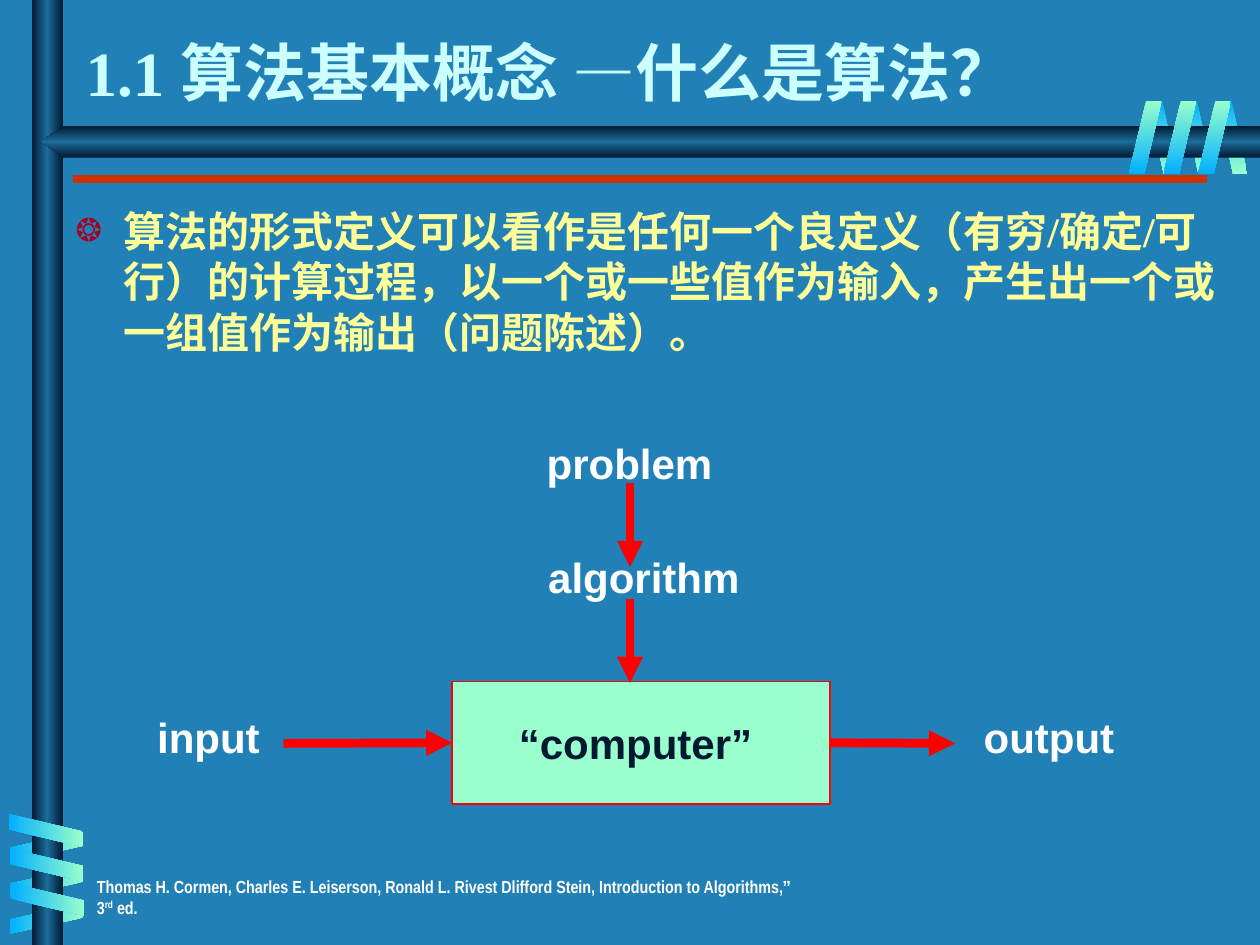
from lxml.etree import SubElement
from pptx import Presentation
from pptx.dml.color import RGBColor
from pptx.enum.shapes import MSO_CONNECTOR, MSO_SHAPE
from pptx.enum.text import MSO_ANCHOR, MSO_AUTO_SIZE, PP_ALIGN
from pptx.oxml.ns import qn
from pptx.util import Inches, Pt

BACKGROUND = RGBColor(0x21, 0x81, 0xB7)
NAVY = RGBColor(0x00, 0x19, 0x32)
STEEL = RGBColor(0x1C, 0x6D, 0x9A)
AZURE = RGBColor(0x01, 0xB0, 0xFF)
MINT = RGBColor(0x99, 0xFF, 0xCC)
RUST = RGBColor(0xCC, 0x33, 0x00)
RED = RGBColor(0xFF, 0x00, 0x00)
CRIMSON = RGBColor(0xA5, 0x00, 0x21)
WHITE = RGBColor(0xFF, 0xFF, 0xFF)
PALE_CYAN = RGBColor(0xCC, 0xFF, 0xFF)
PALE_YELLOW = RGBColor(0xFF, 0xFF, 0x99)

SERIF, SANS, NARROW = "Times New Roman", "Arial", "Arial Narrow"
METAL = (NAVY, STEEL, NAVY)


class SlideBuilder:
    """Holds the slide and the formats shared by its elements."""

    label_format = {"name": SANS, "size": Pt(24), "bold": True}

    def __init__(self, slide):
        self.slide = slide
        self.shapes = slide.shapes

    def place(self, shape, box):
        for side, length in zip(("left", "top", "width", "height"), box):
            setattr(shape, side, Inches(length))

    def add_runs(self, paragraph, runs, color, **changes):
        """Add (text, font name) runs to a paragraph; return the last run."""
        for text, font_name in runs:
            run = paragraph.add_run()
            run.text = text
            formats = {**self.label_format, **changes, "name": font_name}
            for key, value in formats.items():
                setattr(run.font, key, value)
            run.font.color.rgb = color
        return run

    def placeholder(self, holder, box, anchor, runs, color, size):
        self.place(holder, box)
        frame = holder.text_frame
        frame.auto_size = MSO_AUTO_SIZE.NONE
        frame.vertical_anchor = anchor
        paragraph = frame.paragraphs[0]
        paragraph.alignment = PP_ALIGN.LEFT
        self.add_runs(paragraph, runs, color, size=Pt(size))
        return paragraph

    def bullet(self, paragraph, char, color, percent):
        properties = paragraph._p.get_or_add_pPr()
        properties.set("marL", str(Inches(0.38)))
        properties.set("indent", str(-Inches(0.38)))
        bullet_color = SubElement(properties, qn("a:buClr"))
        SubElement(bullet_color, qn("a:srgbClr"), val=str(color))
        SubElement(properties, qn("a:buSzPct"), val=str(percent * 1000))
        SubElement(properties, qn("a:buChar"), char=char)

    def shape(self, kind, box):
        shape = self.shapes.add_shape(kind, *map(Inches, box))
        shape.shadow.inherit = False
        shape.line.fill.background()
        return shape

    def gradient_shape(self, kind, box, colors, angle, adjust=None,
                       rotation=0, flip=False):
        shape = self.shape(kind, box)
        shape.rotation = rotation
        if adjust is not None:
            shape.adjustments[0] = adjust
        properties = shape._element.spPr
        if flip:
            properties.xfrm.set("flipH", "1")
        shape.fill.gradient()
        shape.fill.gradient_angle = -angle % 360
        # The gradient keeps its direction when the shape is turned
        properties.find(qn("a:gradFill")).set("rotWithShape", "0")
        stops = properties.find(".//" + qn("a:gsLst"))
        stops.clear()
        for index, color in enumerate(colors):
            position = 100000 * index // (len(colors) - 1)
            stop = SubElement(stops, qn("a:gs"), pos=str(position))
            SubElement(stop, qn("a:srgbClr"), val=str(color))

    def ribbon(self, boxes, colors, angle, rotation, flip=False):
        for box in boxes:
            self.gradient_shape(MSO_SHAPE.PARALLELOGRAM, box, colors, angle,
                                0.53, rotation, flip)

    def box(self, box, text):
        shape = self.shape(MSO_SHAPE.RECTANGLE, box)
        shape.fill.solid()
        shape.fill.fore_color.rgb = MINT
        shape.line.color.rgb = RED
        shape.line.width = Pt(1)
        frame = shape.text_frame
        frame.word_wrap = False
        frame.vertical_anchor = MSO_ANCHOR.MIDDLE
        frame.paragraphs[0].alignment = PP_ALIGN.CENTER
        self.add_runs(frame.paragraphs[0], [(text, SANS)], NAVY)
        return shape

    def text(self, box, align=PP_ALIGN.CENTER):
        frame = self.shapes.add_textbox(*map(Inches, box)).text_frame
        frame.word_wrap = True
        frame.paragraphs[0].alignment = align
        return frame.paragraphs[0]

    def label(self, box, text):
        self.add_runs(self.text(box), [(text, SANS)], WHITE)

    def line(self, start, end, color, width, arrow=False):
        line = self.shapes.add_connector(
            MSO_CONNECTOR.STRAIGHT, *map(Inches, (*start, *end)))
        line.line.color.rgb = color
        line.line.width = Pt(width)
        if arrow:
            SubElement(line.line._get_or_add_ln(), qn("a:tailEnd"),
                       type="triangle")
        SubElement(line._element.spPr, qn("a:effectLst"))
        return line

    def arrow(self, start, end):
        return self.line(start, end, RED, 5, arrow=True)


def main():
    presentation = Presentation()
    presentation.slide_width = Inches(10)
    presentation.slide_height = Inches(7.5)
    slide = presentation.slides.add_slide(presentation.slide_layouts[1])
    slide.background.fill.solid()
    slide.background.fill.fore_color.rgb = BACKGROUND
    builder = SlideBuilder(slide)

    # Back halves of the two spirals
    builder.ribbon([(9.66 - 0.275 * i, 0.8, 0.24, 0.58) for i in range(3)],
                   (AZURE, MINT), 90, 180, flip=True)
    builder.ribbon([(0.25, 6.43 + 0.285 * i, 0.24, 0.58) for i in range(3)],
                   (MINT, AZURE), 0, 90, flip=True)

    # Metal bars
    builder.gradient_shape(MSO_SHAPE.RECTANGLE, (0.25, 0, 0.25, 7.5),
                           METAL, 0)
    builder.gradient_shape(MSO_SHAPE.PENTAGON, (0.33, 1, 9.67, 0.25),
                           METAL, 90, adjust=0.68, flip=True)

    # Front halves of the two spirals
    builder.ribbon([(0.23 + 0.01 * i, 6.3 + 0.275 * i, 0.26, 0.58)
                    for i in range(3)], (AZURE, MINT), 0, 270)
    builder.ribbon([(9.51 - 0.275 * i, 0.8, 0.26, 0.58) for i in range(3)],
                   (MINT, AZURE), 90, 0)

    # Reference and rule
    reference = builder.text((0.67, 6.9, 5.75, 0.33), PP_ALIGN.LEFT)
    builder.add_runs(reference, [
        ("Thomas H. Cormen, Charles E. Leiserson, Ronald L. Rivest "
         "Dlifford Stein, Introduction to Algorithms,", NARROW),
        ("”", SANS), (" 3", NARROW)], WHITE, size=Pt(10))
    ordinal = builder.add_runs(reference, [("rd", NARROW)], WHITE,
                               size=Pt(10))
    ordinal.font._element.set("baseline", "30000")
    builder.add_runs(reference, [(" ed.", NARROW)], WHITE, size=Pt(10))
    builder.line((0.58, 1.42), (9.58, 1.42), RUST, 4.5)

    # Title and definition
    builder.placeholder(
        slide.shapes.title, (0.58, 0, 8.5, 0.92), MSO_ANCHOR.BOTTOM,
        [("1.1 算法基本概念 ", SERIF), ("—", SANS), ("什么是算法？", SERIF)],
        PALE_CYAN, 36)
    definition = builder.placeholder(
        slide.placeholders[1], (0.5, 1.58, 9.25, 5.67), MSO_ANCHOR.TOP,
        [("算法的形式定义可以看作是任何一个良定义（有穷/确定/可行）的计算过程，"
          "以一个或一些值作为输入，产生出一个或一组值作为输出（问题陈述）。",
          SERIF)], PALE_YELLOW, 24)
    builder.bullet(definition, "❂", CRIMSON, 75)

    # Diagram: problem, algorithm, computer
    computer = builder.box((3.59, 5.41, 3, 0.97), "“computer” ")
    for box, text in [((4.11, 3.42, 1.68, 0.58), " problem"),
                      ((4.25, 4.33, 1.72, 0.58), "algorithm"),
                      ((1, 5.6, 1.31, 0.58), "input"),
                      ((7.67, 5.6, 1.31, 0.58), "output")]:
        builder.label(box, text)
    for top in (3.83, 4.75):
        builder.arrow((5, top), (5, top + 0.67))
    builder.arrow((2.25, 5.9), (3.59, 5.9)).end_connect(computer, 1)
    builder.arrow((6.59, 5.9), (7.58, 5.9)).begin_connect(computer, 3)

    presentation.save("out.pptx")


if __name__ == "__main__":
    main()
